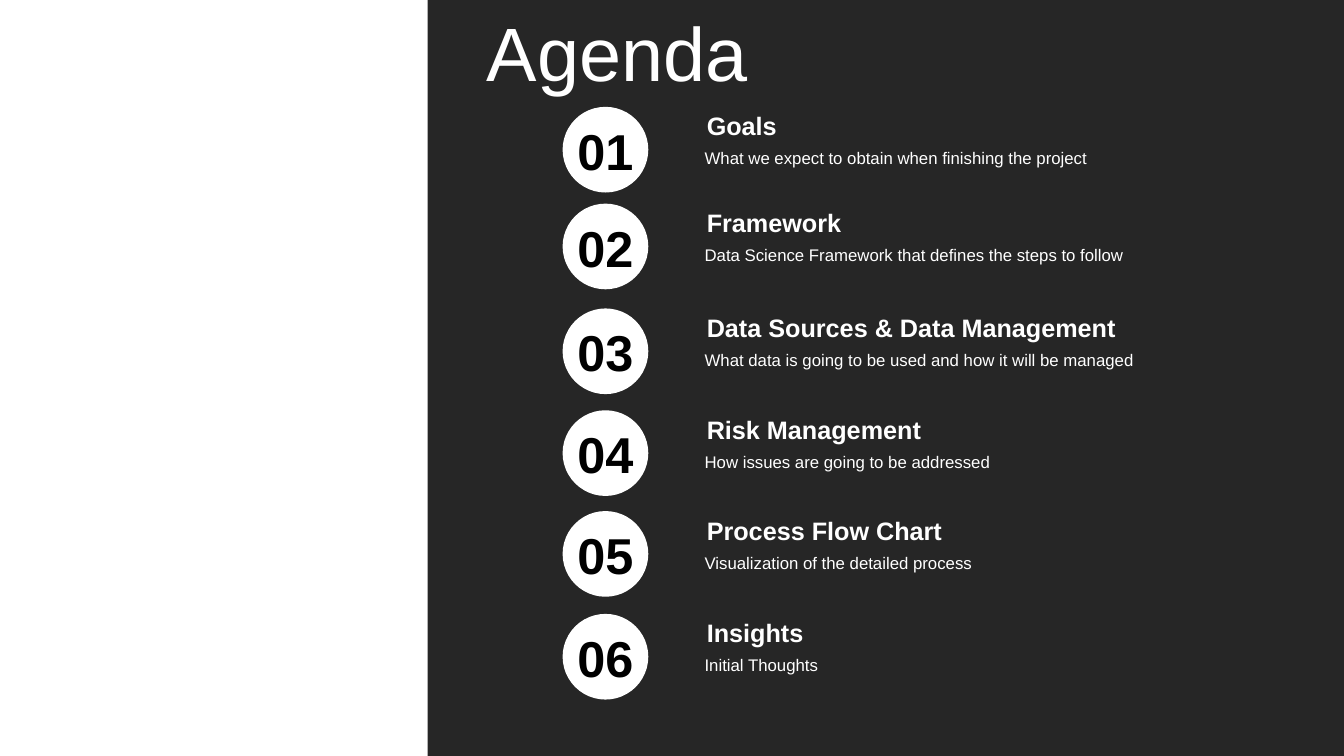
import pptx
import pptx.util
import pptx.dml.color
import pptx.enum.shapes
import pptx.enum.text

Inches = pptx.util.Inches
Pt = pptx.util.Pt
RGBColor = pptx.dml.color.RGBColor
Shape = pptx.enum.shapes.MSO_SHAPE
Align = pptx.enum.text.PP_ALIGN
Anchor = pptx.enum.text.MSO_ANCHOR

WHITE = RGBColor(0xFF, 0xFF, 0xFF)
BLACK = RGBColor(0, 0, 0)
DARK = RGBColor(0x26, 0x26, 0x26)
FONT = "Arial"

TOPICS = [
    (1.05, "Goals", "What we expect to obtain when finishing the project"),
    (2.01, "Framework", "Data Science Framework that defines the steps to follow"),
    (3.05, "Data Sources & Data Management",
     "What data is going to be used and how it will be managed"),
    (4.06, "Risk Management", "How issues are going to be addressed"),
    (5.06, "Process Flow Chart", "Visualization of the detailed process"),
    (6.08, "Insights", "Initial Thoughts"),
]


def write(shape, text, size, color=WHITE, bold=False, align=Align.LEFT,
          anchor=Anchor.TOP, inset=0.1):
    frame = shape.text_frame
    frame.word_wrap = True
    frame.auto_size = pptx.enum.text.MSO_AUTO_SIZE.NONE
    frame.vertical_anchor = anchor
    frame.margin_left = frame.margin_right = Inches(inset)
    frame.margin_top = frame.margin_bottom = Inches(0.05)
    para = frame.paragraphs[0]
    para.alignment = align
    run = para.add_run()
    run.text = text
    run.font.name = FONT
    run.font.size = Pt(size)
    run.font.bold = bold
    run.font.color.rgb = color


def place(shape, *box):
    shape.left, shape.top, shape.width, shape.height = map(Inches, box)


def label(shapes, box, text, size, **style):
    write(shapes.add_textbox(*map(Inches, box)), text, size, **style)


def solid(shapes, kind, box, color):
    shape = shapes.add_shape(kind, *map(Inches, box))
    shape.shadow.inherit = False
    shape.fill.solid()
    shape.fill.fore_color.rgb = color
    shape.line.fill.background()
    return shape


def topic(slide, number, top, head, detail):
    shapes = slide.shapes.add_group_shape().shapes
    label(shapes, (6.89, top + 0.37, 4.93, 0.3), detail, 12)
    label(shapes, (6.89, top, 4.93, 0.4), head, 18, bold=True, inset=0.12)
    solid(shapes, Shape.OVAL, (5.58, top + 0.01, 0.85, 0.85), WHITE)
    label(shapes, (5.48, top + 0.09, 1.05, 0.71), f"{number:02}", 36,
          color=BLACK, bold=True, align=Align.CENTER, inset=0.12)


def main():
    deck = pptx.Presentation()
    deck.slide_width = Inches(13.33)
    deck.slide_height = Inches(7.5)
    slide = deck.slides.add_slide(deck.slide_layouts[5])
    title = slide.shapes.title
    panel = solid(slide.shapes, Shape.RECTANGLE, (4.24, 0, 9.09, 7.5), DARK)
    title.element.addprevious(panel.element)
    place(title, 4.73, 0, 8.6, 1.01)
    write(title, "Agenda", 54, anchor=Anchor.MIDDLE)
    for number, (top, head, detail) in enumerate(TOPICS, 1):
        topic(slide, number, top, head, detail)
    deck.save("out.pptx")


main()
